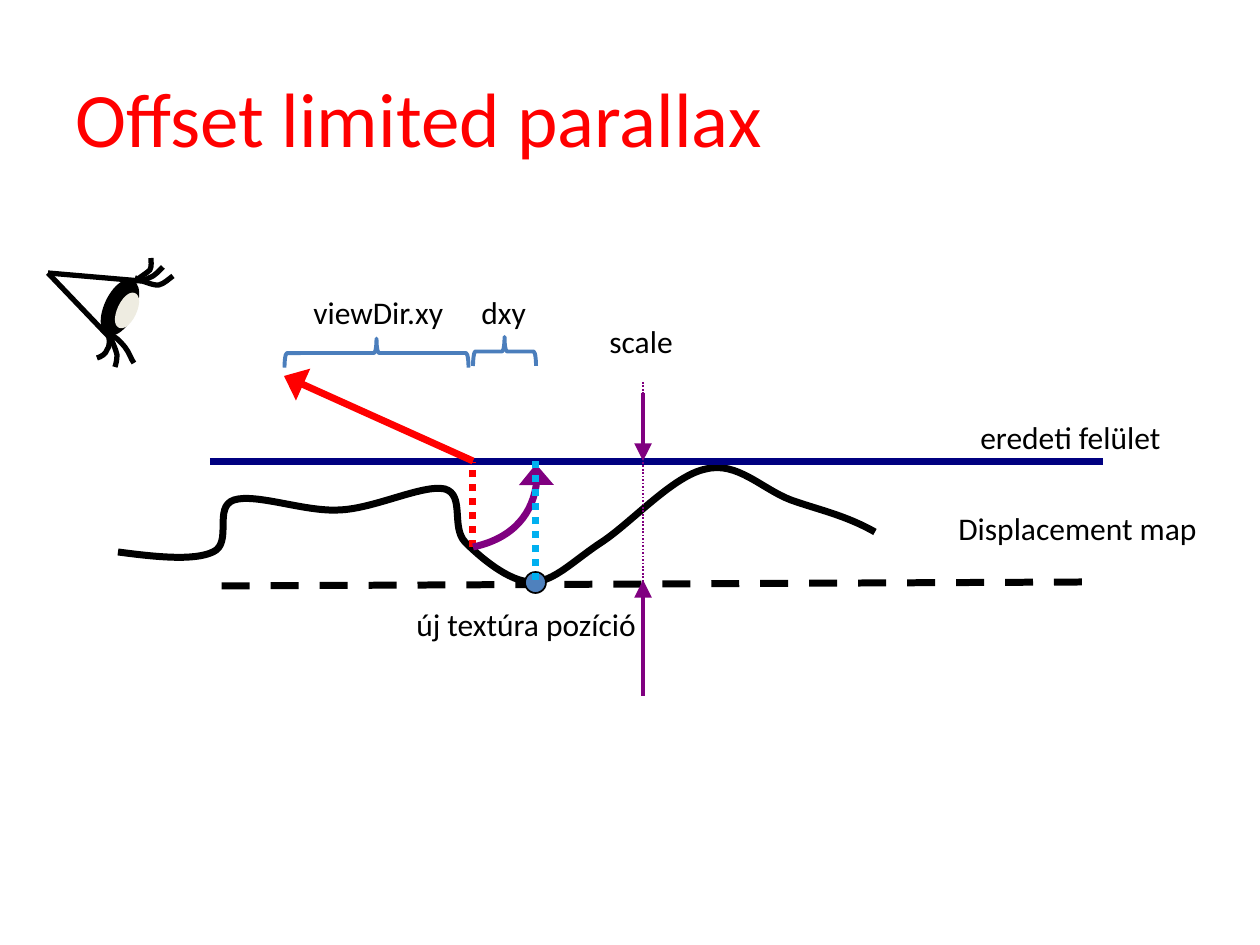
from lxml.etree import SubElement
from pptx import Presentation
from pptx.dml.color import RGBColor
from pptx.enum.dml import MSO_LINE
from pptx.enum.shapes import MSO_CONNECTOR, MSO_SHAPE
from pptx.enum.text import MSO_ANCHOR, MSO_AUTO_SIZE, PP_ALIGN
from pptx.oxml.ns import qn
from pptx.util import Pt

EMU = 914400 / 126  # one px
FONT = "Calibri"
BLACK = RGBColor(0, 0, 0)
RED = RGBColor(0xFF, 0, 0)
NAVY = RGBColor(0, 0, 0x80)
PURPLE = RGBColor(0x80, 0, 0x80)
CYAN = RGBColor(0, 0xB0, 0xF0)
BLUE = RGBColor(0x4F, 0x81, 0xBD)
BRACE = RGBColor(0x4B, 0x7E, 0xBC)
CREAM = RGBColor(0xEE, 0xEC, 0xE1)
DOT, DASH = MSO_LINE.ROUND_DOT, MSO_LINE.DASH

TITLE = "Offset limited parallax"

# Labels: text, left, top, width
LABELS = [
    ("Displacement map", 946, 503, 267),
    ("eredeti felület", 968, 412, 214),
    ("új textúra pozíció", 404, 599, 263),
    ("scale", 597, 316, 98),
    ("dxy", 469, 287, 71),
    ("viewDir.xy", 301, 287, 156),
]

# Curves: a start point, then two control points and an end point per segment
HEIGHT_PROFILE = [
    (118, 552), (156, 557), (194, 561), (213, 552), (233, 543), (213, 507), (234, 500),
    (256, 493), (305, 512), (339, 510), (374, 509), (423, 484), (445, 489),
    (465, 495), (451, 527), (465, 542), (480, 557), (509, 582), (532, 582),
    (554, 582), (573, 561), (602, 542), (631, 523), (674, 475), (706, 469),
    (737, 461), (762, 489), (791, 500), (819, 510), (845, 515), (875, 532),
]
LASHES = [
    [(135, 278), (140, 280), (145, 281), (149, 278), (154, 277), (160, 270), (163, 267)],
    [(141, 281), (144, 281), (154, 286), (159, 285), (164, 284), (170, 278), (173, 276)],
    [(108, 333), (115, 336), (120, 341), (125, 347), (129, 352), (131, 359), (134, 363)],
    [(108, 333), (110, 336), (116, 349), (117, 355), (117, 360), (116, 364), (115, 367)],
    [(108, 333), (110, 339), (110, 347), (107, 350), (106, 354), (101, 357), (97, 358)],
    [(137, 280), (140, 277), (147, 273), (150, 270), (152, 266), (151, 261), (151, 258)],
]
OFFSET_ARC = [(473, 547), (515, 538), (543, 500), (536, 464)]

# Lines: start, end, colour, width, dash, arrowhead length
SURFACE_LINES = [
    ((210, 462), (1103, 462), NAVY, 4, None, None),
    ((473, 461), (284, 376), RED, 4, None, "med"),
    ((473, 547), (473, 462), RED, 4, DOT, None),
    ((1082, 582), (210, 586), BLACK, 4, DASH, None),
]
EYELIDS = [
    ((48, 273), (141, 281), BLACK, 3, None, None),
    ((48, 273), (112, 340), BLACK, 3, None, None),
]
SCALE_LINES = [
    ((643, 382), (643, 603), PURPLE, 1, DOT, None),
    ((643, 393), (643, 461), PURPLE, 2, None, "lg"),
    ((643, 696), (643, 580), PURPLE, 2, None, "lg"),
]
DEPTH_LINE = ((536, 580), (536, 461), CYAN, 4, DOT, None)

# Ovals: left, top, width, height, rotation, fill, line, line width
EYEBALL = [
    (107, 280, 26, 55, 25.3, BLACK, BLACK, 3),
    (120, 294, 14, 33, 25.3, CREAM, CREAM, 3),
]
TEXEL = (525, 572, 21, 21, 0, BLUE, BLACK, 1)
# Braces, before their quarter turn
BRACES = [(490, 320, 29, 63), (362, 261, 29, 184)]


def px(*values):
    return [round(v * EMU) for v in values]


def outline(sp, color, width, dash=None, head=None):
    sp.line.color.rgb = color
    sp.line.width = Pt(width)
    if dash is not None:
        sp.line.dash_style = dash
    if head:
        ln = sp._element.spPr.find(qn("a:ln"))
        SubElement(ln, qn("a:tailEnd"), type="triangle", w="lg", len=head)
    SubElement(sp._element.spPr, qn("a:effectLst"))


def add_line(start, end, *style):
    sp = shapes.add_connector(MSO_CONNECTOR.STRAIGHT, *px(*start, *end))
    outline(sp, *style)


def add_curve(points, *style):
    builder = shapes.build_freeform(*points[0], scale=EMU)
    builder.add_line_segments(points[1:], close=False)
    sp = builder.convert_to_shape()
    # Merge every three straight segments into one Bézier segment
    path = sp._element.find(".//" + qn("a:path"))
    steps = path.findall(qn("a:lnTo"))
    for i in range(0, len(steps), 3):
        bezier = SubElement(path, qn("a:cubicBezTo"))
        for step in steps[i:i + 3]:
            bezier.append(step[0])
            path.remove(step)
    sp.fill.background()
    outline(sp, *style)


def add_preset(kind, left, top, width, height, rotation, fill, *style):
    sp = shapes.add_shape(kind, *px(left, top, width, height))
    sp.rotation = rotation
    if fill is None:
        sp.fill.background()
    else:
        sp.fill.solid()
        sp.fill.fore_color.rgb = fill
    outline(sp, *style)


def format_text(tf, text, size, color):
    tf.text = text
    p = tf.paragraphs[0]
    p.alignment = PP_ALIGN.LEFT
    p.font.name, p.font.size, p.font.color.rgb = FONT, Pt(size), color


prs = Presentation()
prs.slide_width, prs.slide_height = px(1260, 945)
slide = prs.slides.add_slide(prs.slide_layouts[5])
shapes = slide.shapes

# Title
title = shapes.title
title.left, title.top, title.width, title.height = px(63, 38, 1134, 158)
title.text_frame.vertical_anchor = MSO_ANCHOR.MIDDLE
format_text(title.text_frame, TITLE, 44, RED)

# Height profile, surface and view ray
add_curve(HEIGHT_PROFILE, BLACK, 4)
for line in SURFACE_LINES + EYELIDS:
    add_line(*line)

# Eye
for oval in EYEBALL:
    add_preset(MSO_SHAPE.OVAL, *oval)
for lash in LASHES:
    add_curve(lash, BLACK, 3)

# Scale marker, new texture position and offset
for line in SCALE_LINES:
    add_line(*line)
add_preset(MSO_SHAPE.OVAL, *TEXEL)
add_curve(OFFSET_ARC, PURPLE, 4, None, "med")
add_line(*DEPTH_LINE)
for brace in BRACES:
    add_preset(MSO_SHAPE.LEFT_BRACE, *brace, 90, None, BRACE, 2.25)

# Labels
for text, left, top, width in LABELS:
    tf = shapes.add_textbox(*px(left, top, width, 50)).text_frame
    tf.word_wrap = False
    tf.auto_size = MSO_AUTO_SIZE.SHAPE_TO_FIT_TEXT
    format_text(tf, text, 18, BLACK)

prs.save("out.pptx")
